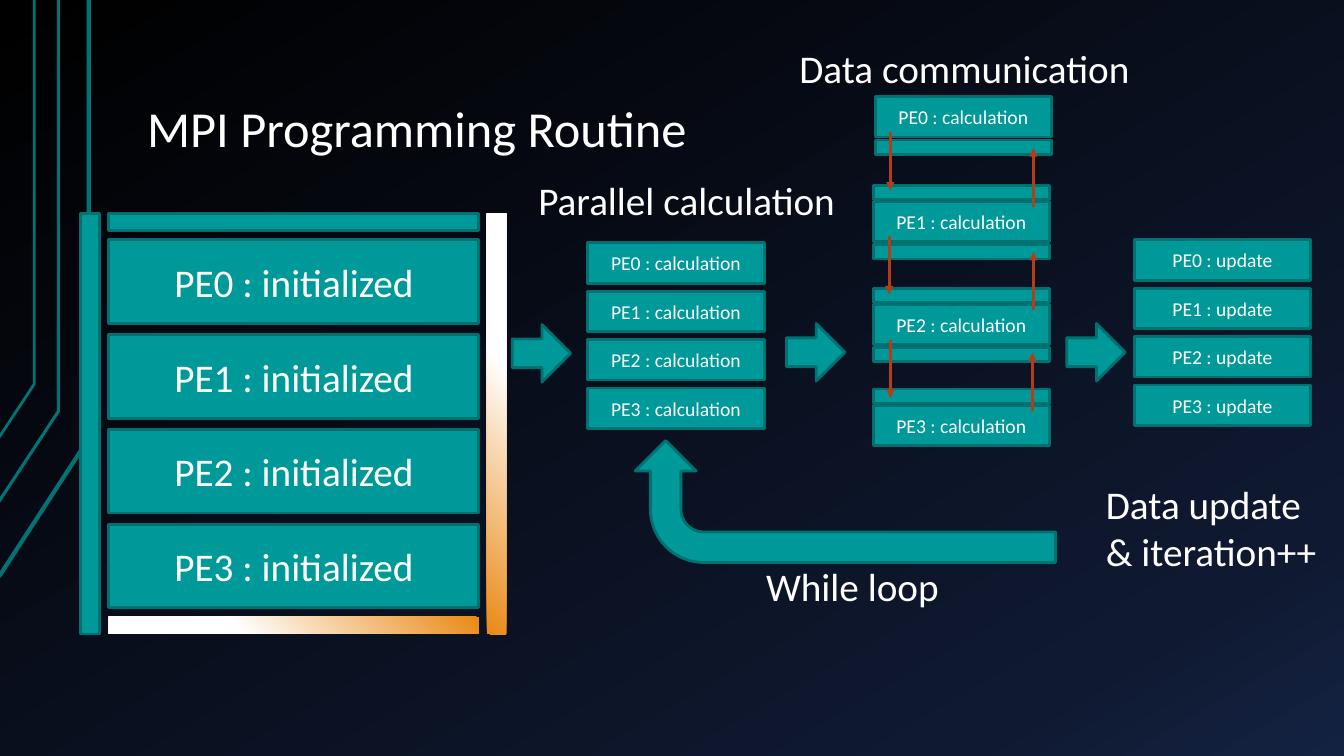
from lxml.etree import SubElement
from pptx import Presentation
from pptx.dml.color import RGBColor
from pptx.enum.shapes import MSO_CONNECTOR, MSO_SHAPE as SHAPE
from pptx.enum.text import MSO_ANCHOR as ANCHOR, MSO_AUTO_SIZE as AUTO_SIZE, PP_ALIGN as ALIGN
from pptx.oxml.ns import qn
from pptx.util import Inches, Pt

FONT = "Calibri"
WHITE = RGBColor(0xFF, 0xFF, 0xFF)
TEAL = RGBColor(0x00, 0x99, 0x99)
DARK_TEAL = RGBColor(0x00, 0x71, 0x71)
TRACE = RGBColor(0x00, 0x73, 0x73)
RUST = RGBColor(0xB6, 0x3C, 0x16)
ORANGE = RGBColor(0xE9, 0x89, 0x15)
BLACK = RGBColor(0x00, 0x00, 0x00)
NAVY = RGBColor(0x0F, 0x19, 0x31)
BLUE = RGBColor(0x14, 0x22, 0x42)

BACKDROP = [(0, BLACK), (85, NAVY), (100, BLUE)]
GLOW = [(0, WHITE), (35, WHITE), (100, ORANGE)]
TRACES = [
    ([(-0.01, 5.72), (0.88, 4.35), (0.88, 0)], 3),
    ([(-0.02, 4.99), (0.58, 4.08), (0.58, 0)], 2.25),
    ([(-0.01, 4.34), (0.34, 3.81), (0.34, 0)], 2),
]
TITLE = ("MPI Programming Routine", 1.33, 0.3, 11.33, 1.34)
LABELS = [
    (["Parallel calculation"], 5.24, 1.7, 3.22, 0.57),
    (["Data communication"], 7.83, 0.39, 3.51, 0.57),
    (["Data update", "& iteration++"], 10.87, 4.72, 2.31, 1.04),
    (["While loop"], 7.5, 5.53, 1.93, 0.57),
]
STACKS = [
    ("initialized", 1.08, 2.38, 0.94, 3.67, 0.83, 28),
    ("calculation", 5.83, 2.41, 0.48, 1.75, 0.4, 14),
    ("update", 11.25, 2.38, 0.48, 1.75, 0.4, 14),
]
PROCESSES = 4
EXCHANGE = [(8.68, 0.96), (8.66, 2), (8.66, 3.02), (8.66, 4.02)]
HALO_ABOVE, HALO_BELOW, HALO_HEIGHT = -0.16, 0.43, 0.14
SENDS_DOWN = [(8.83, 1.31), (8.82, 2.34), (8.83, 3.37)]
SENDS_UP = [(10.25, 2.05), (10.25, 3.08), (10.24, 4.08)]
SEND_LENGTH = 0.58
STEP_ARROWS = [(5.08, 3.22), (7.8, 3.21), (10.58, 3.21)]


def set_gradient(fill, element, stops):
    fill.gradient()
    gradient = element.find(".//" + qn("a:gradFill"))
    for child in list(gradient):
        gradient.remove(child)
    stop_list = SubElement(gradient, qn("a:gsLst"))
    for position, color in stops:
        stop = SubElement(stop_list, qn("a:gs"), pos=str(position * 1000))
        SubElement(stop, qn("a:srgbClr"), val=str(color))
    return gradient


def add_text(frame, lines, size, align=ALIGN.LEFT):
    for index, line in enumerate(lines):
        paragraph = frame.add_paragraph() if index else frame.paragraphs[0]
        paragraph.text = line
        paragraph.alignment = align
        paragraph.font.size = Pt(size)
        paragraph.font.name = FONT
        paragraph.font.color.rgb = WHITE


def add_block(left, top, width, height, kind=SHAPE.RECTANGLE, rotation=0):
    shape = slide.shapes.add_shape(kind, Inches(left), Inches(top), Inches(width), Inches(height))
    shape.shadow.inherit = False
    shape.rotation = rotation
    shape.fill.solid()
    shape.fill.fore_color.rgb = TEAL
    shape.line.color.rgb = DARK_TEAL
    shape.line.width = Pt(2)
    return shape


def add_process(number, stage, left, top, width, height, size):
    frame = add_block(left, top, width, height).text_frame
    frame.vertical_anchor = ANCHOR.MIDDLE
    add_text(frame, [f"PE{number} : {stage}"], size, ALIGN.CENTER)


def add_glow(left, top, width, height, rotation, center):
    shape = add_block(left, top, width, height, rotation=rotation)
    shape.line.fill.background()
    gradient = set_gradient(shape.fill, shape._element, GLOW)
    circle = SubElement(gradient, qn("a:path"), path="circle")
    SubElement(circle, qn("a:fillToRect"), **{side: "100000" for side in center})


def add_send(x, start, end):
    line = slide.shapes.add_connector(
        MSO_CONNECTOR.STRAIGHT, Inches(x), Inches(start), Inches(x), Inches(end))
    line.line.color.rgb = RUST
    line.line.width = Pt(2)
    SubElement(line.line._get_or_add_ln(), qn("a:tailEnd"), type="triangle")
    SubElement(line._element.spPr, qn("a:effectLst"))


def add_box(lines, left, top, width, height, size):
    box = slide.shapes.add_textbox(Inches(left), Inches(top), Inches(width), Inches(height))
    add_text(box.text_frame, lines, size)
    return box.text_frame


presentation = Presentation()
presentation.slide_width = Inches(13.33)
presentation.slide_height = Inches(7.5)
slide = presentation.slides.add_slide(presentation.slide_layouts[6])
backdrop = set_gradient(slide.background.fill, slide._element, BACKDROP)
SubElement(backdrop, qn("a:lin"), ang=str(60 * 60000), scaled="0")

for points, weight in TRACES:
    corners = [(Inches(x), Inches(y)) for x, y in points]
    builder = slide.shapes.build_freeform(*corners[0])
    builder.add_line_segments(corners[1:], close=False)
    trace = builder.convert_to_shape()
    trace.shadow.inherit = False
    trace.fill.background()
    trace.line.color.rgb = TRACE
    trace.line.width = Pt(weight)

title, *title_place = TITLE
title_frame = add_box([title], *title_place, 36)
title_frame.word_wrap = True
title_frame.vertical_anchor = ANCHOR.BOTTOM
title_frame.margin_left = title_frame.margin_right = Inches(0.13)
title_frame.margin_top = title_frame.margin_bottom = Inches(0.07)
title_frame.paragraphs[0].line_spacing = 0.9

add_block(1.08, 2.12, 3.67, 0.17)
add_block(-1.19, 4.11, 4.17, 0.19, rotation=270)
add_glow(1.08, 6.12, 3.67, 0.17, 0, "tr")
add_glow(2.84, 4.11, 4.17, 0.19, 270, "lb")

for stage, left, top, pitch, width, height, size in STACKS:
    for number in range(PROCESSES):
        add_process(number, stage, left, top + number * pitch, width, height, size)

for number, (left, top) in enumerate(EXCHANGE):
    add_process(number, "calculation", left, top, 1.75, 0.4, 14)
    if number > 0:
        add_block(left, top + HALO_ABOVE, 1.75, HALO_HEIGHT)
    if number < PROCESSES - 1:
        add_block(left, top + HALO_BELOW, 1.75, HALO_HEIGHT)

for x, start in SENDS_DOWN:
    add_send(x, start, start + SEND_LENGTH)
for x, start in SENDS_UP:
    add_send(x, start, start - SEND_LENGTH)

for left, top in STEP_ARROWS:
    add_block(left, top, 0.58, 0.57, SHAPE.RIGHT_ARROW)
add_block(7.78, 2.89, 1.21, 4.17, SHAPE.BENT_ARROW, 270)

for lines, *place in LABELS:
    frame = add_box(lines, *place, 28)
    frame.word_wrap = False
    frame.auto_size = AUTO_SIZE.SHAPE_TO_FIT_TEXT

presentation.save("out.pptx")
